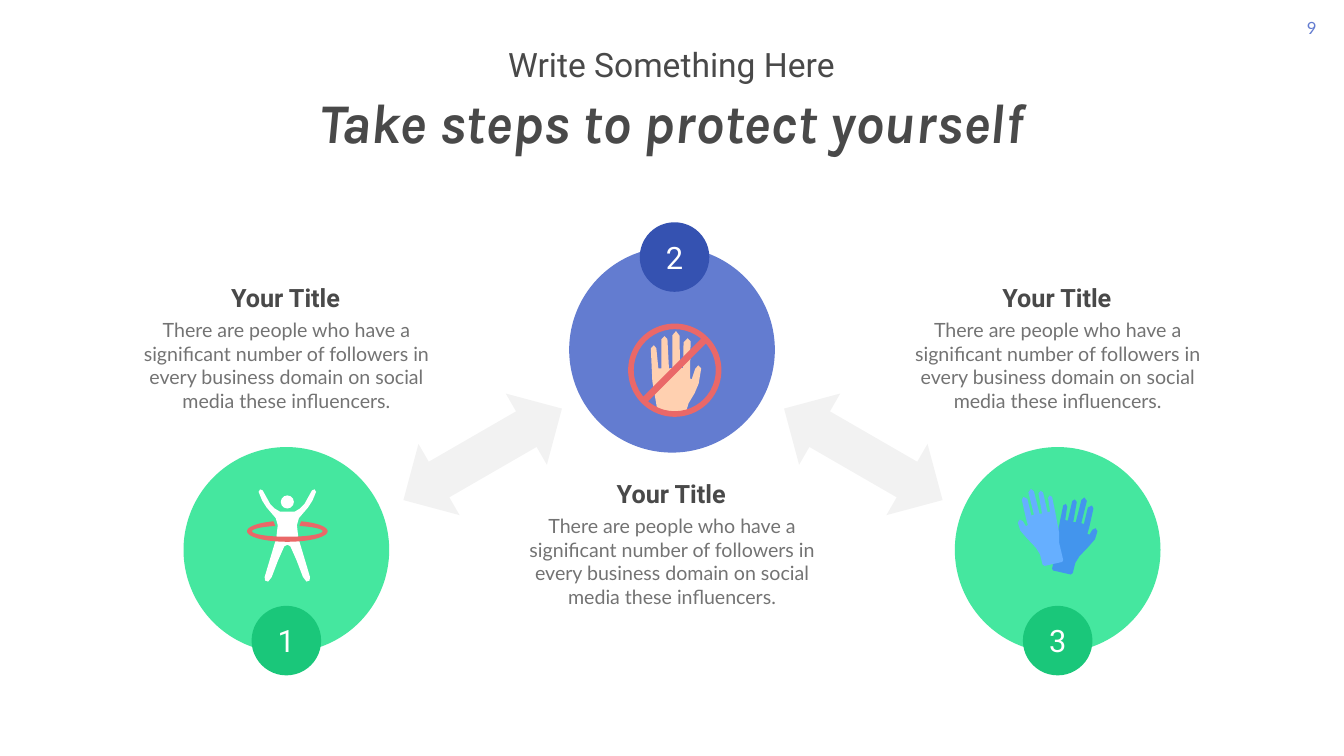
import math
from dataclasses import dataclass

import lxml.etree
import pptx
import pptx.dml.color
import pptx.enum.shapes
import pptx.enum.text
import pptx.oxml.ns
import pptx.shapes.autoshape
import pptx.shapes.shapetree
import pptx.slide
import pptx.util

Inches = pptx.util.Inches
RGBColor = pptx.dml.color.RGBColor
Kind = pptx.enum.shapes.MSO_SHAPE
Anchor = pptx.enum.text.MSO_ANCHOR
Align = pptx.enum.text.PP_ALIGN
Shape = pptx.shapes.autoshape.Shape
Tree = pptx.shapes.shapetree.SlideShapes
Box = tuple[float, float, float, float]
Points = list[tuple[float, float]]

INK = RGBColor(0x49, 0x49, 0x49)
GRAY = RGBColor(0x73, 0x73, 0x73)
ARROW = RGBColor(0x80, 0x80, 0x80)
WHITE = RGBColor(0xFF, 0xFF, 0xFF)
BLUE = RGBColor(0x63, 0x7C, 0xD0)
NAVY = RGBColor(0x35, 0x52, 0xB1)
MINT = RGBColor(0x45, 0xE7, 0x9F)
GREEN = RGBColor(0x1A, 0xC7, 0x7A)
RED = RGBColor(0xEA, 0x68, 0x68)
SKIN = RGBColor(0xFF, 0xD0, 0xB0)
SKY = RGBColor(0x66, 0xAF, 0xFF)
AZURE = RGBColor(0x43, 0x95, 0xED)

DISC, BADGE = 4.08, 1.38
FIRST, PITCH = 5.68, 7.65
BODY = ("There are people who have a significant number of followers in "
        "every business domain on social media these influencers.")

HALF: Points = [
    (5.7, 10.15), (5.55, 10.15), (5.45, 10.09), (5.36, 10), (5.21, 9.73), (5.16, 9.71),
    (5.13, 9.76), (5.2, 9.93), (5.29, 10.07), (5.47, 10.28), (5.51, 10.42),
    (5.48, 10.68), (5.36, 11.08), (5.25, 11.45), (5.26, 11.52), (5.32, 11.54),
    (5.39, 11.45), (5.52, 11.11), (5.64, 10.84), (5.7, 10.81)]
HAND: Points = [
    (13.85, 7.25), (13.79, 7.32), (13.72, 7.53), (13.69, 7.51), (13.69, 7.28), (13.7, 6.77),
    (13.64, 6.71), (13.56, 6.79), (13.55, 7.3), (13.49, 7.29), (13.48, 6.66), (13.41, 6.57),
    (13.34, 6.65), (13.34, 7.3), (13.27, 7.31), (13.24, 6.73), (13.18, 6.67), (13.12, 6.73),
    (13.12, 7.31), (13.06, 7.31), (13.02, 6.91), (12.97, 6.85), (12.91, 6.91), (12.94, 7.56),
    (13.03, 8.08), (13.09, 8.19), (13.6, 8.2), (13.66, 8), (13.78, 7.8), (13.86, 7.61),
    (13.91, 7.31)]
GLOVE: Points = [
    (20.72, 11.23), (20.68, 11.2), (20.63, 11), (20.55, 10.87), (20.37, 10.68),
    (20.24, 10.53), (20.19, 10.37), (20.23, 10.31), (20.29, 10.34), (20.35, 10.44),
    (20.39, 10.42), (20.35, 10.28), (20.27, 9.92), (20.3, 9.86), (20.38, 9.9),
    (20.46, 10.23), (20.51, 10.21), (20.4, 9.77), (20.45, 9.7), (20.51, 9.75),
    (20.62, 10.19), (20.67, 10.19), (20.6, 9.79), (20.64, 9.74), (20.69, 9.77),
    (20.78, 10.16), (20.83, 10.15), (20.79, 9.88), (20.82, 9.83), (20.87, 9.86),
    (20.93, 10.15), (21.01, 10.57), (21.01, 10.77), (21.09, 11.11), (21.07, 11.15)]


@dataclass
class Step:
    mark: str
    disc: float
    badge: float
    head: float
    fill: RGBColor
    dark: RGBColor


STEPS = [Step("1", 8.87, 12.02, 5.56, MINT, GREEN),
         Step("2", 4.9, 4.41, 9.45, BLUE, NAVY),
         Step("3", 8.87, 12.02, 5.56, MINT, GREEN)]


def paint(shape: Shape, fill: RGBColor) -> Shape:
    shape.shadow.inherit = False
    shape.fill.solid()
    shape.fill.fore_color.rgb = fill
    shape.line.fill.background()
    return shape


def form(tree: Tree, kind: Kind, box: Box, fill: RGBColor, turn: float = 0) -> Shape:
    shape = paint(tree.add_shape(kind, *map(Inches, box)), fill)
    shape.rotation = turn
    return shape


def trace(tree: Tree, points: Points, fill: RGBColor) -> Shape:
    first, *rest = [(Inches(x), Inches(y)) for x, y in points]
    pen = tree.build_freeform(*first)
    pen.add_line_segments(rest, close=True)
    return paint(pen.convert_to_shape(), fill)


def write(shape: Shape, text: str, *, size: float, color: RGBColor, face: str = "Roboto",
          bold: bool = False, italic: bool = False, wrap: bool = True,
          anchor: Anchor = Anchor.TOP, inset: tuple[float, float] = (0.1, 0.05),
          pitch: float = 1.0) -> None:
    frame = shape.text_frame
    frame.word_wrap = wrap
    frame.vertical_anchor = anchor
    frame.margin_left = frame.margin_right = Inches(inset[0])
    frame.margin_top = frame.margin_bottom = Inches(inset[1])
    line = frame.paragraphs[0]
    line.alignment = Align.CENTER
    line.line_spacing = pitch
    run = line.add_run()
    run.text = text
    font = run.font
    font.name, font.size, font.bold, font.italic = face, pptx.util.Pt(size), bold, italic
    font.color.rgb = color


def label(tree: Tree, box: Box, text: str, **style) -> None:
    write(tree.add_textbox(*map(Inches, box)), text, **style)


def arrow(tree: Tree, left: float, turn: float) -> None:
    shape = form(tree, Kind.LEFT_RIGHT_ARROW, (left, 8.2, 3.63, 1.63), ARROW, turn)
    for color in shape.element.spPr.iter(pptx.oxml.ns.qn("a:srgbClr")):
        lxml.etree.SubElement(color, pptx.oxml.ns.qn("a:alpha"), val="10000")


def step(tree: Tree, item: Step, mid: float) -> None:
    form(tree, Kind.OVAL, (mid - DISC / 2, item.disc, DISC, DISC), item.fill)
    shift = 0.05 if item.mark == "2" else 0
    badge = form(tree, Kind.OVAL, (mid + shift - BADGE / 2, item.badge, BADGE, BADGE), item.dark)
    write(badge, item.mark, size=44, color=WHITE, anchor=Anchor.MIDDLE, inset=(0.08, 0.1))
    label(tree, (mid - 2.4, item.head, 4.77, 0.71), "Your Title", size=36, color=INK, bold=True)
    label(tree, (mid - 3.29, item.head + 0.7, 6.58, 1.99), BODY, size=28, color=GRAY, face="Lato")


def arc(wide: float, high: float) -> Points:
    turns = [math.radians(deg) for deg in range(-70, 251, 8)]
    return [(5.7 + wide * math.cos(t), 10.54 + high * math.sin(t)) for t in turns]


def icons(tree: Tree) -> None:
    trace(tree, HALF + [(11.4 - x, y) for x, y in reversed(HALF)], WHITE)
    form(tree, Kind.OVAL, (5.57, 9.83, 0.26, 0.26), WHITE)
    trace(tree, arc(0.8, 0.21) + arc(0.7, 0.11)[::-1], RED)
    trace(tree, HAND, SKIN)
    ring = form(tree, Kind.DONUT, (12.46, 6.42, 1.85, 1.85), RED)
    ring.adjustments[0] = 0.06
    trace(tree, [(12.83, 7.99), (12.74, 7.89), (13.94, 6.69), (14.04, 6.78)], RED)
    trace(tree, [(41.96 - x, y + 0.17) for x, y in GLOVE], AZURE)
    trace(tree, GLOVE, SKY)


def main() -> None:
    """Build the three-step protection slide."""
    deck = pptx.Presentation()
    deck.slide_width, deck.slide_height = Inches(26.66), Inches(15)
    tree = deck.slides.add_slide(deck.slide_layouts[6]).shapes
    label(tree, (25.54, 0.25, 0.96, 0.61), "9", size=24, color=BLUE, face="Lato",
          wrap=False, inset=(0.2, 0.1))
    top = dict(color=INK, anchor=Anchor.MIDDLE, inset=(0, 0), pitch=0.99)
    label(tree, (7.2, 0.13, 12.24, 2.33), "Write Something Here", size=48, **top)
    label(tree, (5.2, 1.3, 16.24, 2.31), "Take steps to protect yourself",
          size=80, face="Karla", bold=True, italic=True, **top)
    for slot, item in enumerate(STEPS):
        step(tree, item, FIRST + slot * PITCH)
    arrow(tree, 7.76, 330)
    arrow(tree, 15.31, 30)
    icons(tree)
    deck.save("out.pptx")


if __name__ == "__main__":
    main()
